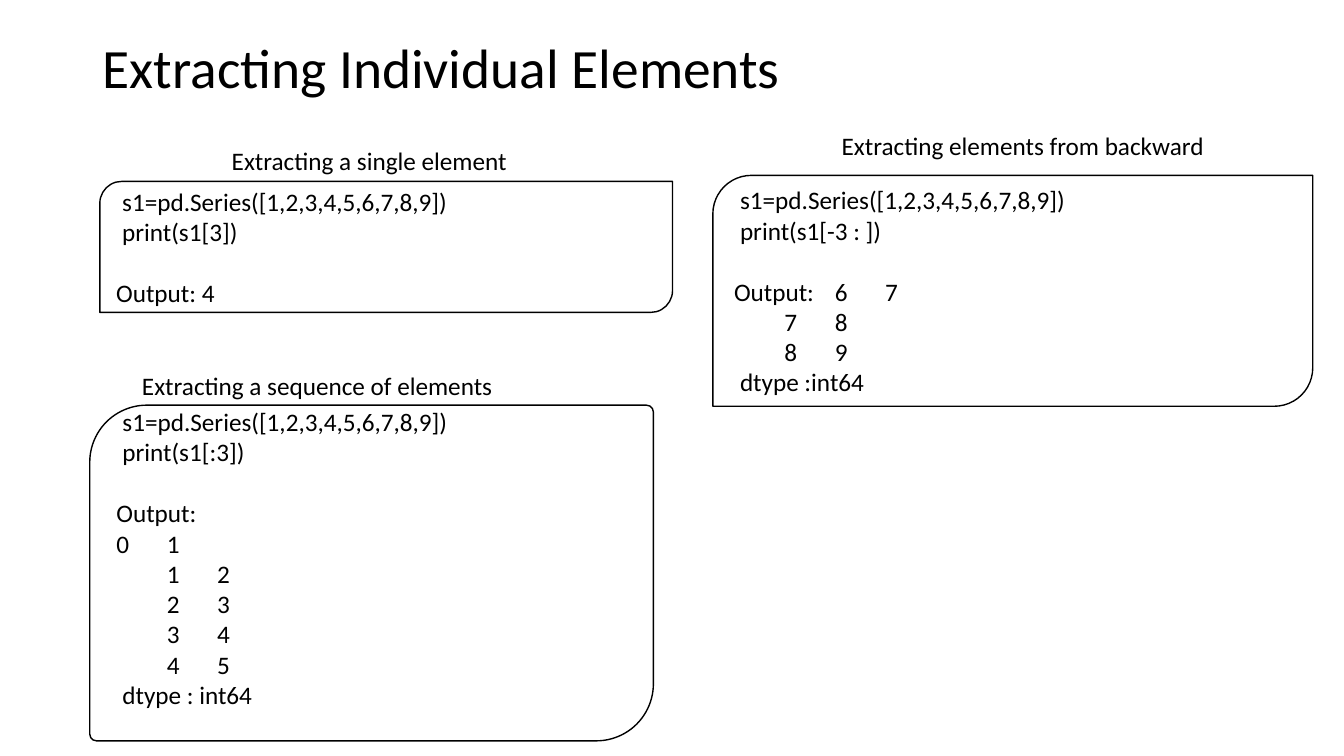
from lxml import etree
from pptx import Presentation
from pptx import util as u
from pptx.dml.color import RGBColor
from pptx.enum import shapes, text
from pptx.oxml.ns import qn

PX = 9144  # EMU per px, 100 px to the inch
FONT = "Calibri"
BODY_SIZE = 18
LINE_GAP = 22  # points, one empty line of body text
INDENT = 6
COLORS = {"ink": "000000", "paper": "FFFFFF"}
SERIES = "s1=pd.Series([1,2,3,4,5,6,7,8,9])"


def px(*lengths):
    return [u.Emu(n * PX) for n in lengths]


def color(name):
    return RGBColor.from_string(COLORS[name])


def style(p, size):
    p.font.name = FONT
    p.font.size = u.Pt(size)
    p.font.color.rgb = color("ink")


def set_stops(p, indent, stops):
    """Set the left indent and the tab stops of a paragraph, in px."""
    pPr = p._p.get_or_add_pPr()
    pPr.set("marL", str(indent * PX))
    pPr.set("indent", "0")
    if stops:
        tabs = etree.Element(qn("a:tabLst"))
        for stop in stops:
            etree.SubElement(tabs, qn("a:tab"), pos=str(stop * PX), algn="l")
        pPr.insert_element_before(tabs, "a:defRPr", "a:extLst")


def add_label(slide, box, words, size=BODY_SIZE):
    tf = slide.shapes.add_textbox(*px(*box)).text_frame
    tf.word_wrap = False
    p = tf.paragraphs[0]
    p.text = words
    style(p, size)
    return tf


def add_title(slide, box, words):
    tf = add_label(slide, box, words, 39.6)
    tf.vertical_anchor = text.MSO_ANCHOR.MIDDLE
    tf.paragraphs[0].line_spacing = 0.9


def add_example(slide, box, call, output, corners=None, bottom=5):
    """Draw a code box; output lines are (words, indent, tab stops)."""
    sp = slide.shapes.add_shape(
        shapes.MSO_SHAPE.ROUND_2_DIAG_RECTANGLE, *px(*box))
    sp.shadow.inherit = False
    sp.fill.solid()
    sp.fill.fore_color.rgb = color("paper")
    sp.line.color.rgb = color("ink")
    sp.line.width = u.Pt(1)
    for i, corner in enumerate(corners or ()):
        sp.adjustments[i] = corner

    tf = sp.text_frame
    tf.word_wrap = True
    tf.vertical_anchor = text.MSO_ANCHOR.MIDDLE
    tf.margin_bottom = px(bottom)[0]
    code = [(SERIES, INDENT, ()), (call, INDENT, ())]
    for i, (words, indent, stops) in enumerate(code + output):
        p = tf.add_paragraph() if i else tf.paragraphs[0]
        p.text = words
        p.alignment = text.PP_ALIGN.LEFT
        if i == len(code):
            p.space_before = u.Pt(LINE_GAP)
        style(p, BODY_SIZE)
        set_stops(p, indent, stops)


def build_slide(slide):
    add_title(slide, (92, 40, 744, 59), "Extracting Individual Elements")

    add_example(slide, (99, 180, 568, 130), "print(s1[3])",
                [("Output: 4", 0, ())])
    add_label(slide, (220, 139, 296, 40), "Extracting a single element")

    add_example(slide, (707, 174, 595, 229), "print(s1[-3 : ])", [
        ("Output:\t6\t7", 0, (85, 115)),
        ("\t7\t8", 0, (85, 115)),
        ("\t8\t9", 0, (85, 121)),
        ("dtype :int64", INDENT, ()),
    ])
    add_label(slide, (825, 124, 383, 40), "Extracting elements from backward")

    add_label(slide, (131, 362, 372, 40), "Extracting a sequence of elements")
    rows = [(f"\t{n}\t{n + 1}", 0, (INDENT, 70)) for n in range(1, 5)]
    add_example(slide, (89, 402, 559, 333), "print(s1[:3])", [
        ("Output:", 0, ()),
        ("0\t1", 0, (64,)),
        *rows,
        ("dtype : int64", INDENT, ()),
    ], corners=(0.17, 0.02), bottom=35)


def main():
    prs = Presentation()
    prs.slide_width, prs.slide_height = px(1333, 750)
    build_slide(prs.slides.add_slide(prs.slide_layouts[6]))
    prs.save("out.pptx")


if __name__ == "__main__":
    main()
